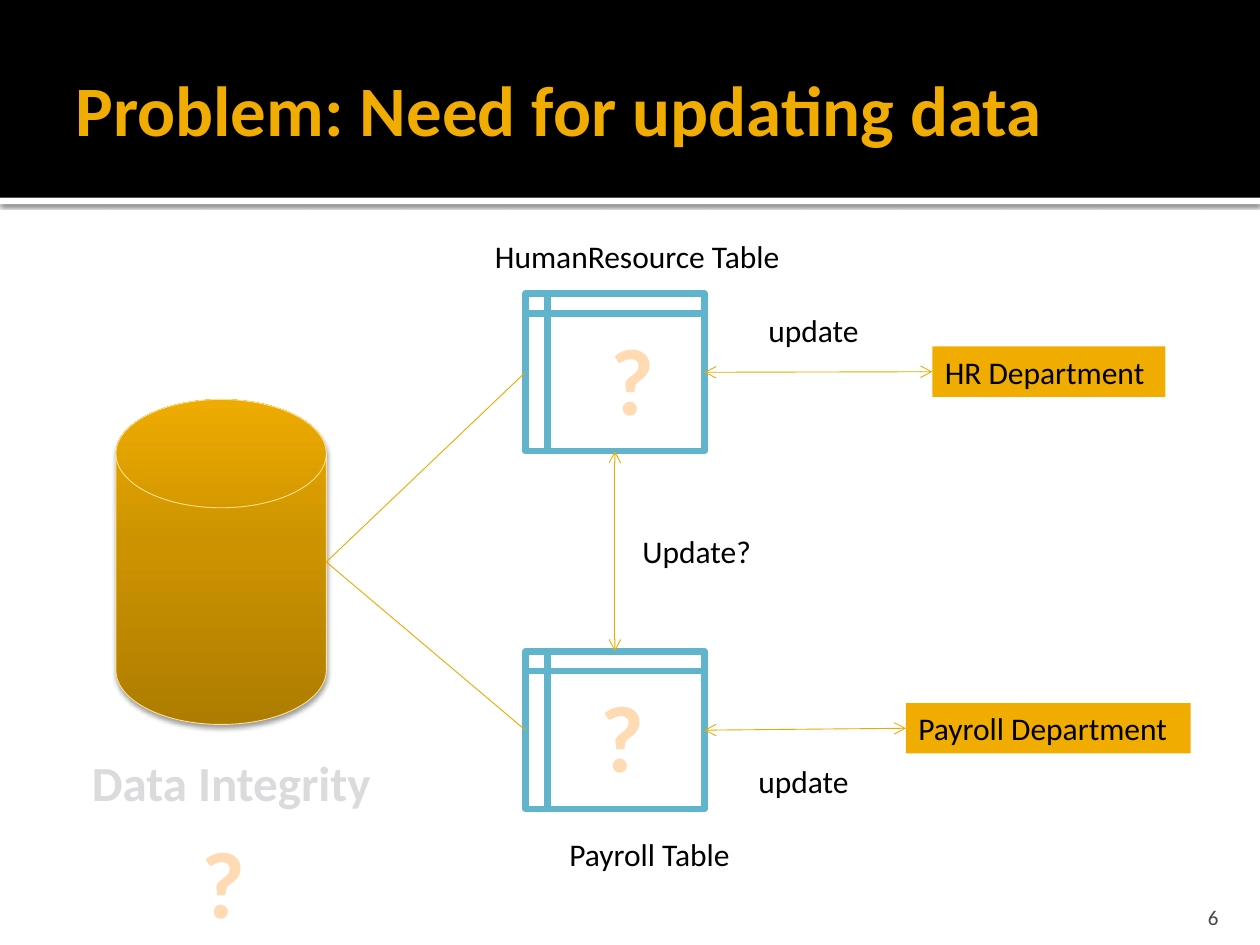
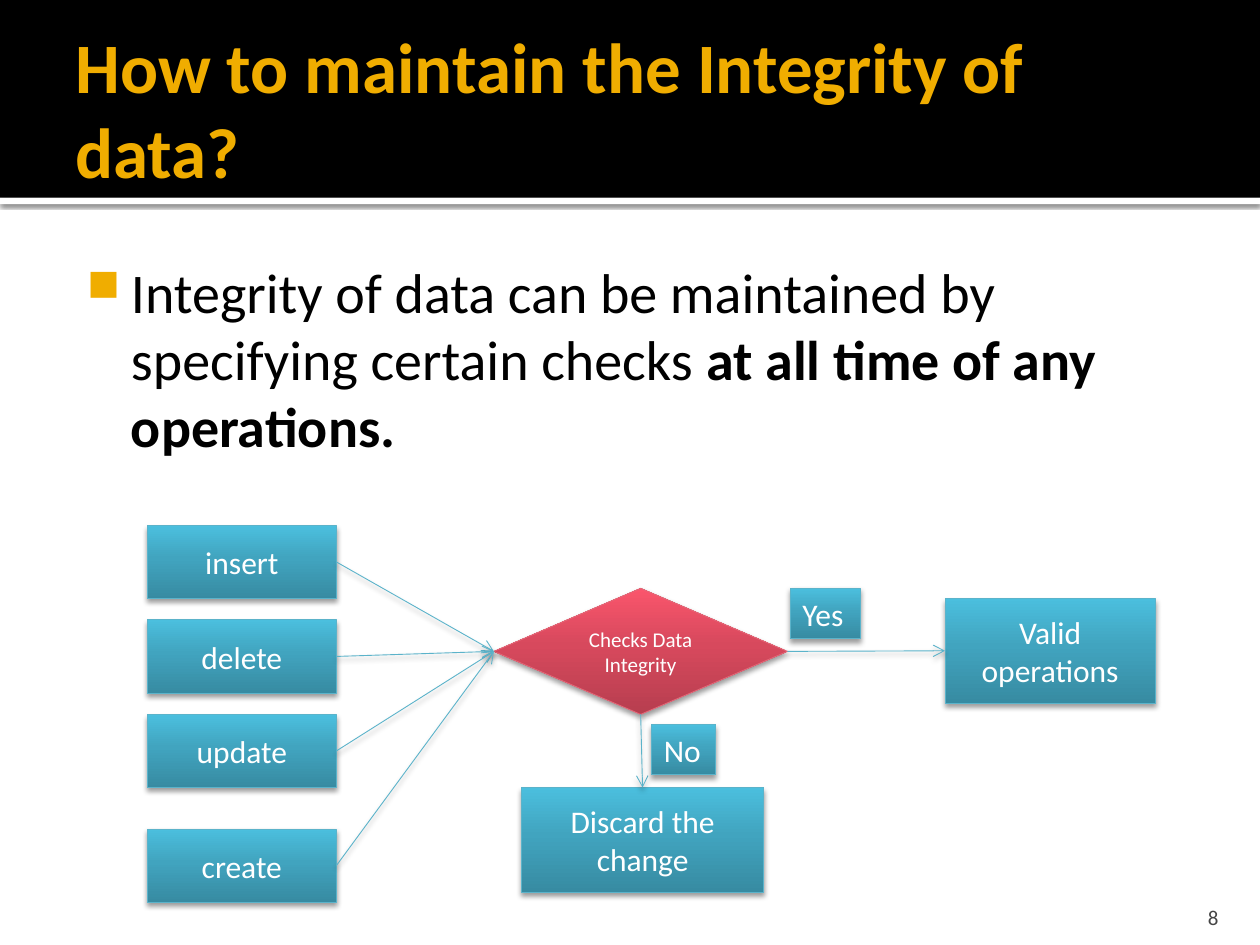
from dataclasses import dataclass
from typing import Optional

from lxml import etree
from pptx import Presentation
from pptx.dml.color import RGBColor
from pptx.enum.shapes import MSO_CONNECTOR, MSO_SHAPE
from pptx.enum.text import MSO_ANCHOR, MSO_AUTO_SIZE, PP_ALIGN
from pptx.oxml.ns import qn
from pptx.util import Inches, Pt

RECT = MSO_SHAPE.RECTANGLE
PROCESS = MSO_SHAPE.FLOWCHART_PROCESS
DECISION = MSO_SHAPE.FLOWCHART_DECISION
DISK = MSO_SHAPE.FLOWCHART_MAGNETIC_DISK
STORAGE = MSO_SHAPE.FLOWCHART_INTERNAL_STORAGE
STRAIGHT = MSO_CONNECTOR.STRAIGHT
LEFT_ALIGN, CENTER, RIGHT_ALIGN = PP_ALIGN.LEFT, PP_ALIGN.CENTER, PP_ALIGN.RIGHT
TOP_ANCHOR, MIDDLE, BOTTOM_ANCHOR = MSO_ANCHOR.TOP, MSO_ANCHOR.MIDDLE, MSO_ANCHOR.BOTTOM
FIT_SHAPE = MSO_AUTO_SIZE.SHAPE_TO_FIT_TEXT
TOP, LEFT, BOTTOM, RIGHT = range(4)  # connection sites

FONT = "Calibri"
COLORS = {
    "white": "FFFFFF", "black": "000000", "gold": "F0AD00",
    "gold_line": "EBA900", "disk_edge": "FFE193", "teal": "60B5CC",
    "teal_line": "5BB3CA", "red_line": "E46778", "question": "FFDAB2",
    "integrity": "DBDBDD", "number": "454545",
    "gold_low": "AE7D00", "gold_mid": "CC9300", "gold_high": "EEAB00",
    "teal_low": "378BA2", "teal_mid": "41A4BF", "teal_high": "4BBFDE",
    "red_low": "B73E4F", "red_mid": "D7495D", "red_high": "FA556C",
}


@dataclass(frozen=True)
class Shadow:
    opacity: int
    blur: float
    distance: float


SOFT = Shadow(38, 3.1, 2)
STRIP_SHADOW = Shadow(60, 2.5, 0.8)


@dataclass(frozen=True)
class Look:
    fill: tuple  # one colour, or three from bottom to top
    line: Optional[str] = None
    width: float = 0.5
    shadow: Optional[Shadow] = None


BAND = Look(("black",))
STRIP = Look(("white",), shadow=STRIP_SHADOW)
DATABASE = Look(("gold_low", "gold_mid", "gold_high"), "disk_edge", shadow=SOFT)
TABLE = Look(("white",), "teal", 3.78)
DEPARTMENT = Look(("gold",))
STEP = Look(("teal_low", "teal_mid", "teal_high"), "teal_line", shadow=SOFT)
CHECK = Look(("red_low", "red_mid", "red_high"), "red_line", shadow=SOFT)


@dataclass(frozen=True)
class Style:
    size: float = 18
    color: str = "black"
    bold: bool = False
    align: int = LEFT_ALIGN
    anchor: int = TOP_ANCHOR
    insets: tuple = (0.1, 0.05, 0.1, 0.05)
    wrap: bool = True
    grow: bool = False


LABEL = Style(wrap=False, grow=True)
ANSWER = Style(color="white", wrap=False, grow=True)
QUESTION = Style(54, "question", True, CENTER, wrap=False, grow=True)
INTEGRITY = Style(28, "integrity", True, CENTER, grow=True)
STEP_TEXT = Style(color="white", align=CENTER, anchor=MIDDLE)
CHECK_TEXT = Style(12, "white", align=CENTER, anchor=MIDDLE)
TITLE = Style(40.5, "gold", True, anchor=MIDDLE, insets=(0.1, 0.05, 0.05, 0.05))
BODY = Style(32, insets=(0.06, 0.1, 0.1, 0.05))
NUMBER = Style(12, "number", align=RIGHT_ALIGN, anchor=BOTTOM_ANCHOR,
               insets=(0.1, 0.05, 0.1, 0))


@dataclass(frozen=True)
class Box:
    left: float
    top: float
    width: float
    height: float
    text: str = ""
    style: Style = LABEL
    look: Optional[Look] = None  # None makes plain text
    kind: int = RECT


def rgb(name: str) -> RGBColor:
    return RGBColor.from_string(COLORS[name])


def add_child(parent, tag: str, **attributes):
    return etree.SubElement(parent, qn(tag),
                            {key: str(value) for key, value in attributes.items()})


def add_shadow(effects, shadow: Shadow) -> None:
    outer = add_child(effects, "a:outerShdw", blurRad=Pt(shadow.blur),
                      dist=Pt(shadow.distance), dir=5400000, algn="ctr", rotWithShape=0)
    color = add_child(outer, "a:srgbClr", val=COLORS["black"])
    add_child(color, "a:alpha", val=shadow.opacity * 1000)


def apply_look(shape, look: Look) -> None:
    properties = shape._element.spPr
    if len(look.fill) == 1:
        shape.fill.solid()
        shape.fill.fore_color.rgb = rgb(look.fill[0])
    else:
        shape.fill.gradient()
        shape.fill.gradient_angle = 90
        stops = properties.find(qn("a:gradFill")).find(qn("a:gsLst"))
        for old_stop in list(stops):
            stops.remove(old_stop)
        for position, name in zip((0, 55, 100), look.fill):
            stop = add_child(stops, "a:gs", pos=position * 1000)
            add_child(stop, "a:srgbClr", val=COLORS[name])
    if look.line:
        shape.line.color.rgb = rgb(look.line)
        shape.line.width = Pt(look.width)
    else:
        shape.line.fill.background()
    shape.shadow.inherit = False
    if look.shadow:
        add_shadow(properties.find(qn("a:effectLst")), look.shadow)


def style_text(shape, style: Style) -> None:
    frame = shape.text_frame
    frame.word_wrap = style.wrap
    if style.grow:
        frame.auto_size = FIT_SHAPE
    frame.vertical_anchor = style.anchor
    (frame.margin_left, frame.margin_top,
     frame.margin_right, frame.margin_bottom) = map(Inches, style.insets)
    for paragraph in frame.paragraphs:
        paragraph.alignment = style.align
        font = paragraph.font
        font.name, font.size, font.bold = FONT, Pt(style.size), style.bold
        font.color.rgb = rgb(style.color)


def draw_box(slide, box: Box):
    place = [Inches(n) for n in (box.left, box.top, box.width, box.height)]
    if box.look:
        shape = slide.shapes.add_shape(box.kind, *place)
        apply_look(shape, box.look)
    else:
        shape = slide.shapes.add_textbox(*place)
    if box.text:
        shape.text_frame.text = box.text
        style_text(shape, box.style)
    return shape


def side_point(shape, side: int) -> tuple:
    x = shape.left + {LEFT: 0, RIGHT: shape.width}.get(side, shape.width // 2)
    y = shape.top + {TOP: 0, BOTTOM: shape.height}.get(side, shape.height // 2)
    return x, y


def connect(slide, start, start_side: int, end, end_side: int, color: str,
            head: bool = False, tail: bool = False, join_start: bool = True,
            shadow: Optional[Shadow] = None) -> None:
    line = slide.shapes.add_connector(STRAIGHT, *side_point(start, start_side),
                                      *side_point(end, end_side))
    if join_start:
        line.begin_connect(start, start_side)
    line.end_connect(end, end_side)
    line.line.color.rgb = rgb(color)
    line.line.width = Pt(0.5)
    properties = line._element.spPr
    outline = properties.find(qn("a:ln"))
    for tag, wanted in (("a:headEnd", head), ("a:tailEnd", tail)):
        if wanted:
            add_child(outline, tag, type="arrow")
    effects = add_child(properties, "a:effectLst")
    if shadow:
        add_shadow(effects, shadow)


def start_slide(deck, title: str, number: str):
    slide = deck.slides.add_slide(deck.slide_layouts[6])
    for box in (Box(0, 1.57, 10, 0.05, look=STRIP),
                Box(0, 0, 10, 1.57, look=BAND),
                Box(0.5, 0.17, 9, 1.37, title, TITLE),
                Box(8.97, 7.08, 0.8, 0.3, number, NUMBER)):
        draw_box(slide, box)
    return slide


def build_problem(deck) -> None:
    slide = start_slide(deck, "Problem: Need for updating data", "6")

    # Database, its tables and the departments
    database = draw_box(slide, Box(0.92, 3.17, 1.67, 2.58, look=DATABASE, kind=DISK))
    hr_table, payroll_table = [
        draw_box(slide, Box(4.17, top, 1.42, 1.25, look=TABLE, kind=STORAGE))
        for top in (2.33, 5.17)]
    hr = draw_box(slide, Box(7.4, 2.75, 1.85, 0.4, "HR Department", LABEL, DEPARTMENT))
    payroll = draw_box(
        slide, Box(7.19, 5.58, 2.26, 0.4, "Payroll Department", LABEL, DEPARTMENT))

    # Links
    for table, department in ((hr_table, hr), (payroll_table, payroll)):
        connect(slide, table, RIGHT, department, LEFT, "gold_line", head=True, tail=True)
        connect(slide, database, RIGHT, table, LEFT, "gold_line", join_start=False)
    connect(slide, hr_table, BOTTOM, payroll_table, TOP, "gold_line", head=True, tail=True)

    # Labels and open questions
    for left, top, width, text in ((3.83, 1.83, 2.53, "HumanResource Table"),
                                   (4.42, 6.58, 1.52, "Payroll Table"),
                                   (5.92, 6, 0.94, "update"),
                                   (6, 2.42, 0.94, "update"),
                                   (5, 4.17, 1.09, "Update?")):
        draw_box(slide, Box(left, top, width, 0.4, text))
    for left, top in ((4.75, 2.5), (4.67, 5.33), (1.5, 6.49)):
        draw_box(slide, Box(left, top, 0.54, 1.01, "?", QUESTION))
    draw_box(slide, Box(0, 5.92, 3.67, 0.57, "Data Integrity", INTEGRITY))


def build_checks(deck) -> None:
    slide = start_slide(deck, "How to maintain the Integrity of data?", "8")

    # Statement with a square bullet
    statement = draw_box(slide, Box(0.5, 1.94, 9, 5.06))
    paragraph = statement.text_frame.paragraphs[0]
    paragraph.add_run().text = ("Integrity of data can be maintained by "
                                "specifying certain checks ")
    emphasis = paragraph.add_run()
    emphasis.text = "at all time of any operations."
    emphasis.font.bold = True
    bullet = paragraph._p.get_or_add_pPr()
    bullet.set("marL", str(Inches(0.48)))
    bullet.set("indent", str(Inches(-0.35)))
    add_child(add_child(bullet, "a:buClr"), "a:srgbClr", val=COLORS["gold"])
    add_child(bullet, "a:buSzPct", val=80000)
    add_child(bullet, "a:buChar", char="■")
    style_text(statement, BODY)

    # Check and its outcomes
    check = draw_box(slide, Box(3.92, 4.67, 2.33, 1, "Checks Data Integrity",
                                CHECK_TEXT, CHECK, DECISION))
    discard = draw_box(slide, Box(4.14, 6.25, 1.92, 0.83, "Discard the change",
                                  STEP_TEXT, STEP, PROCESS))
    valid = draw_box(slide, Box(7.5, 4.75, 1.67, 0.83, "Valid operations",
                                STEP_TEXT, STEP, PROCESS))
    for side, outcome, outcome_side in ((BOTTOM, discard, TOP), (RIGHT, valid, LEFT)):
        connect(slide, check, side, outcome, outcome_side, "teal_line",
                tail=True, shadow=SOFT)

    # Operations that lead to the check
    for top, text in ((4.17, "insert"), (4.92, "delete"),
                      (5.67, "update"), (6.58, "create")):
        operation = draw_box(slide, Box(1.17, top, 1.5, 0.58, text,
                                        STEP_TEXT, STEP, PROCESS))
        connect(slide, operation, RIGHT, check, LEFT, "teal_line",
                tail=True, shadow=SOFT)

    # Answers
    draw_box(slide, Box(5.17, 5.75, 0.51, 0.4, "No", ANSWER, STEP))
    draw_box(slide, Box(6.27, 4.67, 0.56, 0.4, "Yes", ANSWER, STEP))


def main() -> None:
    deck = Presentation()
    deck.slide_width, deck.slide_height = Inches(10), Inches(7.5)
    build_problem(deck)
    build_checks(deck)
    deck.save("out.pptx")


if __name__ == "__main__":
    main()
